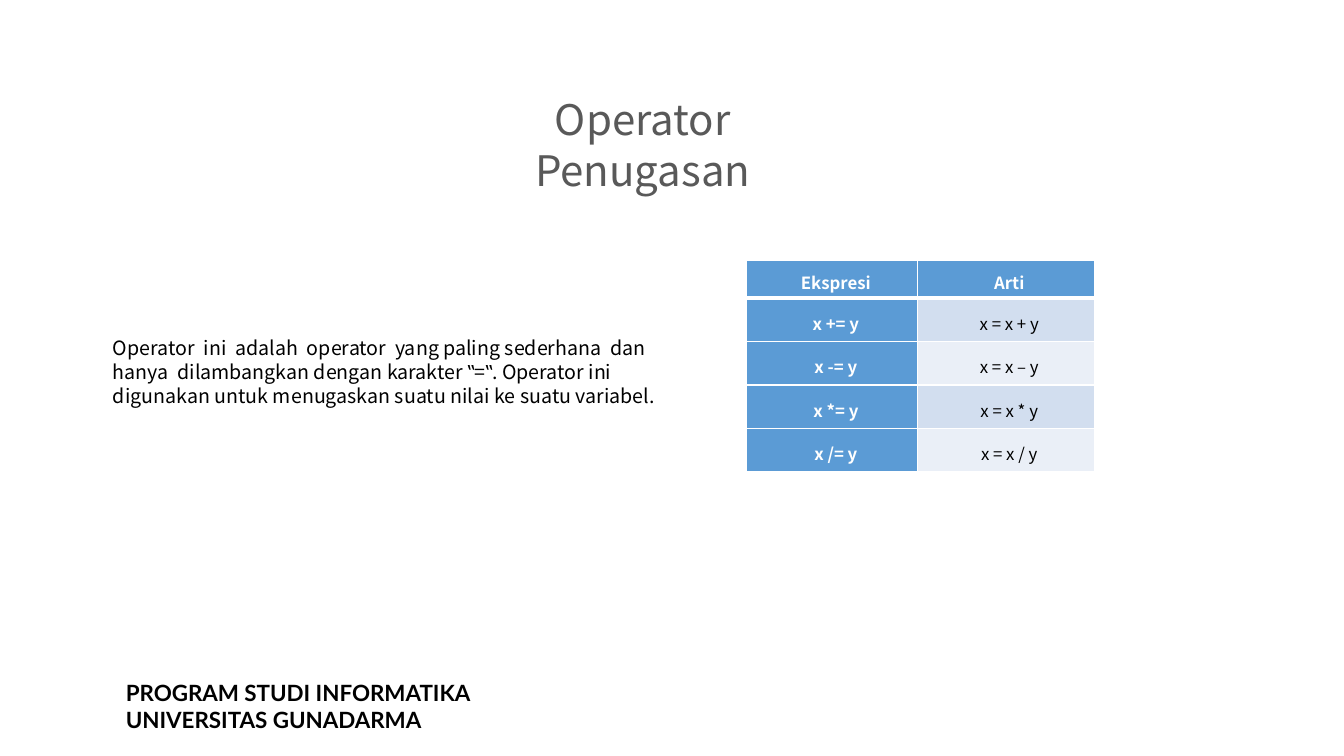
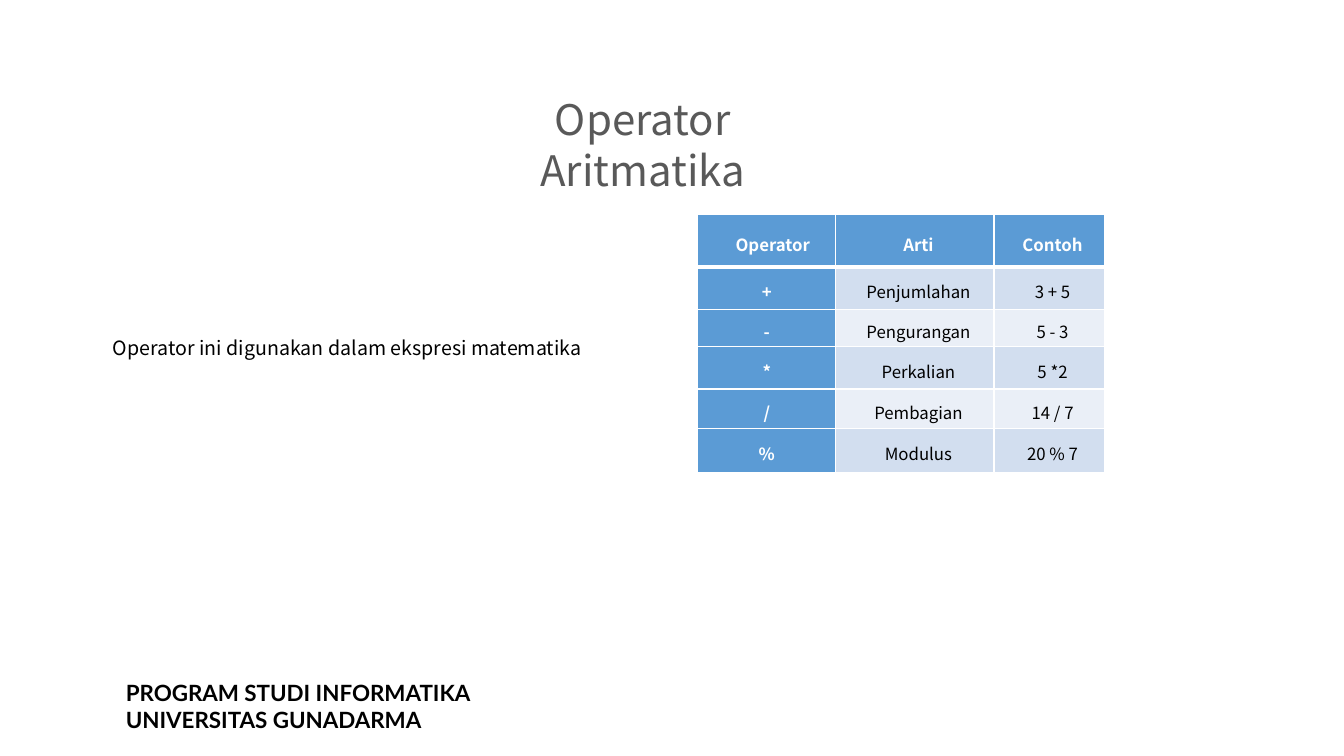
import lxml.etree
import pptx
import pptx.dml.color
import pptx.enum.text
import pptx.oxml.ns
import pptx.util

Inches = pptx.util.Inches
Pt = pptx.util.Pt
Align = pptx.enum.text.PP_ALIGN
Anchor = pptx.enum.text.MSO_ANCHOR


class Theme:
    font, foot_font = "Noto Sans CJK SC", "Lato"
    ink, gray, white = "000000", "595959", "FFFFFF"
    blue, bands = "5B9BD5", ("D2DEEF", "EAEFF7")
    title, body, cell, foot = 30, 14, 12, 16
    lead, cell_lead = 1.22, 1.83
    thin, thick = 1, 3
    pad = 0.07


def tag(name):
    return pptx.oxml.ns.qn(f"a:{name}")


def color(code):
    return pptx.dml.color.RGBColor.from_string(code)


class Deck:
    def __init__(self, theme):
        self.theme = theme
        self.file = pptx.Presentation()
        self.file.slide_width = Inches(13.33)
        self.file.slide_height = Inches(7.5)
        self.slide = None

    def start(self, title, body, height):
        self.slide = self.file.slides.add_slide(self.file.slide_layouts[1])
        self.foot()
        self.body(body, height)
        self.title(title)

    def place(self, shape, left, top, width, height):
        shape.left, shape.top = Inches(left), Inches(top)
        shape.width, shape.height = Inches(width), Inches(height)
        frame = shape.text_frame
        frame.word_wrap = True
        frame.auto_size = pptx.enum.text.MSO_AUTO_SIZE.NONE
        frame.vertical_anchor = Anchor.TOP
        return frame

    def style(self, frame, size, ink, face=None, bold=False, align=Align.LEFT, lead=None):
        for para in frame.paragraphs:
            para.alignment = align
            para.space_before = Pt(0)
            if lead:
                para.line_spacing = Pt(round(size * lead, 1))
            for run in para.runs:
                font = run.font
                font.name = face or self.theme.font
                font.size = Pt(size)
                font.bold = bold
                font.color.rgb = color(ink)

    def title(self, text):
        t = self.theme
        frame = self.place(self.slide.shapes.title, 4.46, 0.87, 3.83, 0.61)
        frame.text = text
        self.style(frame, t.title, t.gray, align=Align.CENTER, lead=t.lead)

    def body(self, text, height):
        t = self.theme
        frame = self.place(self.slide.placeholders[1], 1.12, 3.33, 5.58, height)
        frame.margin_left = frame.margin_right = 0
        frame.margin_top = frame.margin_bottom = 0
        frame.text = text
        props = frame.paragraphs[0]._p.get_or_add_pPr()
        props.set("marL", "0")
        props.set("indent", "0")
        lxml.etree.SubElement(props, tag("buNone"))
        self.style(frame, t.body, t.ink, lead=t.lead)

    def foot(self):
        t = self.theme
        box = self.slide.shapes.add_textbox(0, 0, 0, 0)
        frame = self.place(box, 1.15, 6.69, 6.56, 0.64)
        frame.text = "PROGRAM STUDI INFORMATIKA\nUNIVERSITAS GUNADARMA"
        self.style(frame, t.foot, t.ink, t.foot_font, bold=True)

    def border(self, cell, row):
        t = self.theme
        props = cell._tc.get_or_add_tcPr()
        sides = {"lnL": t.thin, "lnR": t.thin,
                 "lnT": t.thick if row == 1 else t.thin,
                 "lnB": t.thick if row == 0 else t.thin}
        for spot, (side, width) in enumerate(sides.items()):
            line = lxml.etree.Element(tag(side), w=str(Pt(width)))
            fill = lxml.etree.SubElement(line, tag("solidFill"))
            lxml.etree.SubElement(fill, tag("srgbClr"), val=t.white)
            props.insert(spot, line)

    def cell(self, cell, text, row, col, shift):
        t = self.theme
        head = row == 0 or col == 0
        cell.fill.solid()
        cell.fill.fore_color.rgb = color(t.blue if head else t.bands[(row - 1) % 2])
        cell.vertical_anchor = Anchor.MIDDLE
        cell.margin_left = Inches(t.pad + shift)
        cell.margin_right = Inches(t.pad)
        cell.margin_top = cell.margin_bottom = 0
        cell.text_frame.text = text
        self.style(cell.text_frame, t.cell, t.white if head else t.ink,
                   bold=head, align=Align.CENTER, lead=t.cell_lead)
        self.border(cell, row)

    def table(self, left, top, cols, rows, data, heads, shifts):
        frame = self.slide.shapes.add_table(
            len(rows), len(cols), Inches(left), Inches(top),
            Inches(sum(cols)), Inches(sum(rows)))
        grid = frame.table
        grid.first_row = grid.horz_banding = False
        for col, width in zip(grid.columns, cols):
            col.width = Inches(width)
        for row, height in zip(grid.rows, rows):
            row.height = Inches(height)
        for y, line in enumerate(data):
            for x, text in enumerate(line):
                shift = (shifts if y else heads)[x]
                self.cell(grid.cell(y, x), text, y, x, shift)


def main():
    deck = Deck(Theme())

    deck.start(
        "Operator Penugasan",
        "Operator  ini  adalah  operator  yang paling sederhana  dan  hanya  "
        "dilambangkan dengan karakter ‟=‟. Operator ini digunakan untuk "
        "menugaskan suatu nilai ke suatu variabel.", 0.71)
    deck.table(
        7.4, 2.58, [1.7, 1.76], [0.38] + [0.43] * 4,
        [("Ekspresi", "Arti"),
         ("x += y", "x = x + y"),
         ("x -= y", "x = x – y"),
         ("x *= y", "x = x * y"),
         ("x /= y", "x = x / y")],
        (0.08, 0.06), (0.08, 0.06))

    deck.start("Operator Aritmatika",
               "Operator ini digunakan dalam ekspresi matematika", 0.24)
    deck.table(
        6.92, 2.13, [1.37, 1.57, 1.1], [0.52, 0.42, 0.37, 0.42, 0.39, 0.44],
        [("Operator", "Arti", "Contoh"),
         ("+", "Penjumlahan", "3 + 5"),
         ("-", "Pengurangan", "5 - 3"),
         ("*", "Perkalian", "5 *2"),
         ("/", "Pembagian", "14 / 7"),
         ("%", "Modulus", "20 % 7")],
        (0.12, 0.07, 0.06), (0, 0.07, 0.06))

    deck.file.save("out.pptx")


if __name__ == "__main__":
    main()
